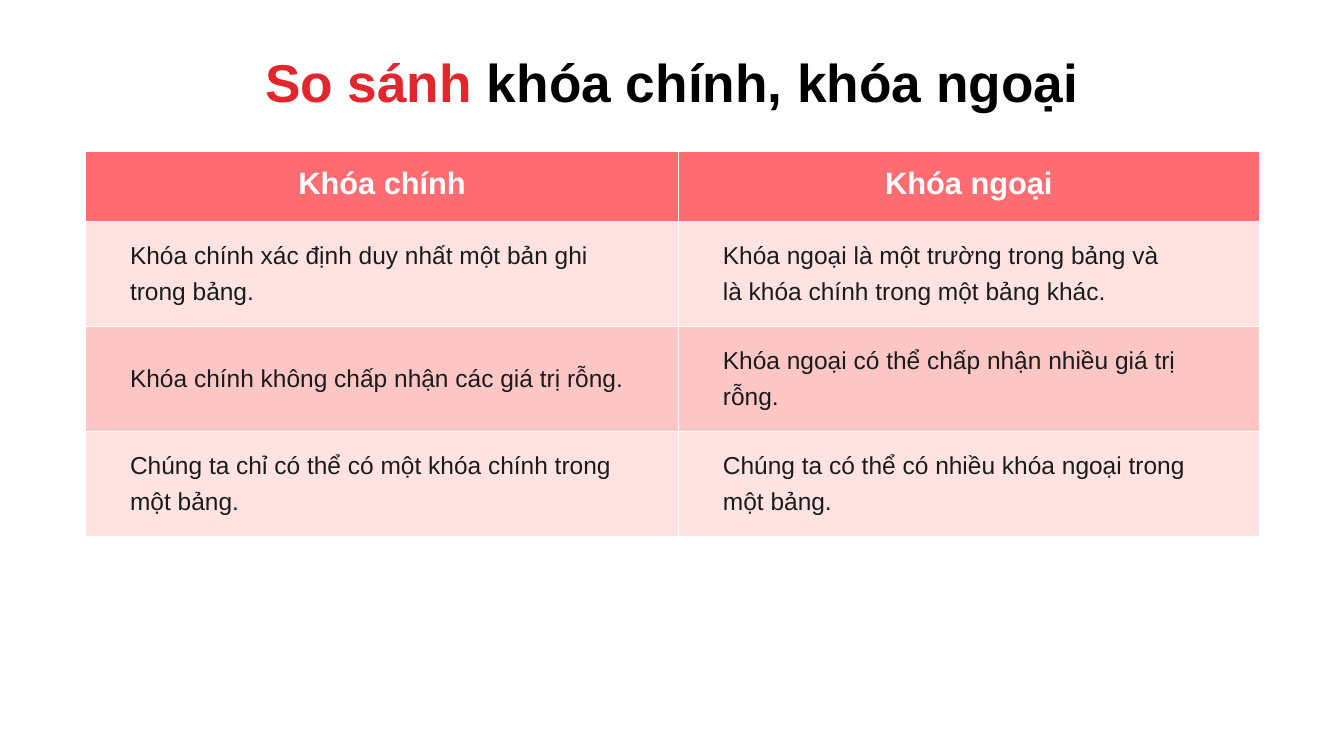
from lxml import etree
from pptx import Presentation
from pptx import util as u
from pptx.dml.color import RGBColor
from pptx.enum import text
from pptx.oxml import ns

PX = u.Inches(1) // 100
FONT = "Arial"
WHITE = RGBColor(0xFF, 0xFF, 0xFF)
BLACK = RGBColor(0, 0, 0)
INK = RGBColor(0x1B, 0x1B, 0x1B)
RED = RGBColor(0xE2, 0x26, 0x2D)
CORAL = RGBColor(0xFF, 0x6C, 0x71)
PALE_PINK = RGBColor(0xFF, 0xE3, 0xE3)
PINK = RGBColor(0xFF, 0xC6, 0xC6)

TITLE = [("So sánh", RED), (" khóa chính, khóa ngoại", BLACK)]
COLUMN_WIDTHS = [588, 576]
HEADER_HEIGHT = 70
ROW_HEIGHT = 104
HEADERS = ["Khóa chính", "Khóa ngoại"]
COMPARISONS = [
    ("Khóa chính xác định duy nhất một bản ghi\ntrong bảng.",
     "Khóa ngoại là một trường trong bảng và\nlà khóa chính trong một bảng khác."),
    ("Khóa chính không chấp nhận các giá trị rỗng.",
     "Khóa ngoại có thể chấp nhận nhiều giá trị\nrỗng."),
    ("Chúng ta chỉ có thể có một khóa chính trong\nmột bảng.",
     "Chúng ta có thể có nhiều khóa ngoại trong\nmột bảng."),
]


def style_font(font, size, color, bold):
    font.name = FONT
    font.size = u.Pt(size)
    font.color.rgb = color
    font.bold = bold


def place_title(slide, left, top, width, height):
    title = slide.shapes.title
    title.left, title.top = left * PX, top * PX
    title.width, title.height = width * PX, height * PX
    frame = title.text_frame
    frame.word_wrap = True
    frame.auto_size = text.MSO_AUTO_SIZE.NONE
    frame.vertical_anchor = text.MSO_ANCHOR.TOP
    heading = frame.paragraphs[0]
    heading.alignment = text.PP_ALIGN.CENTER
    for words, color in TITLE:
        run = heading.add_run()
        run.text = words
        style_font(run.font, 38, color, True)


def add_borders(cell):
    """Draw a thin white line on all four sides of the cell."""
    properties = cell._tc.get_or_add_tcPr()
    for side in ("lnL", "lnR", "lnT", "lnB"):
        line = etree.SubElement(properties, ns.qn(f"a:{side}"), w=str(u.Pt(0.75)))
        fill = etree.SubElement(line, ns.qn("a:solidFill"))
        etree.SubElement(fill, ns.qn("a:srgbClr"), val=str(WHITE))


def fill_cell(cell, words, background, is_header):
    cell.margin_left = (10 if is_header else 44) * PX
    cell.margin_right = cell.margin_top = cell.margin_bottom = 10 * PX
    add_borders(cell)
    cell.fill.solid()
    cell.fill.fore_color.rgb = background
    cell.vertical_anchor = text.MSO_ANCHOR.TOP if is_header else text.MSO_ANCHOR.MIDDLE
    cell.text_frame.text = words
    for index, paragraph in enumerate(cell.text_frame.paragraphs):
        if is_header:
            paragraph.alignment = text.PP_ALIGN.CENTER
            paragraph.line_spacing = 1.15
        if index:
            paragraph.space_before = u.Pt(6)
        for run in paragraph.runs:
            if is_header:
                style_font(run.font, 22, WHITE, True)
            else:
                style_font(run.font, 17.5, INK, False)


def place_comparison(slide, left, top):
    rows = [HEADERS, *COMPARISONS]
    heights = [HEADER_HEIGHT] + [ROW_HEIGHT] * len(COMPARISONS)
    table = slide.shapes.add_table(
        len(rows), len(HEADERS), left * PX, top * PX,
        sum(COLUMN_WIDTHS) * PX, sum(heights) * PX).table
    for column, width in zip(table.columns, COLUMN_WIDTHS):
        column.width = width * PX
    for r, (row, height) in enumerate(zip(rows, heights)):
        table.rows[r].height = height * PX
        background = CORAL if r == 0 else PALE_PINK if r % 2 else PINK
        for c, words in enumerate(row):
            fill_cell(table.cell(r, c), words, background, r == 0)


def main():
    deck = Presentation()
    deck.slide_width, deck.slide_height = 1333 * PX, 750 * PX
    slide = deck.slides.add_slide(deck.slide_layouts.get_by_name("Title Only"))
    place_title(slide, 127, 44, 1079, 74)
    place_comparison(slide, 85, 150)
    deck.save("out.pptx")


if __name__ == "__main__":
    main()
